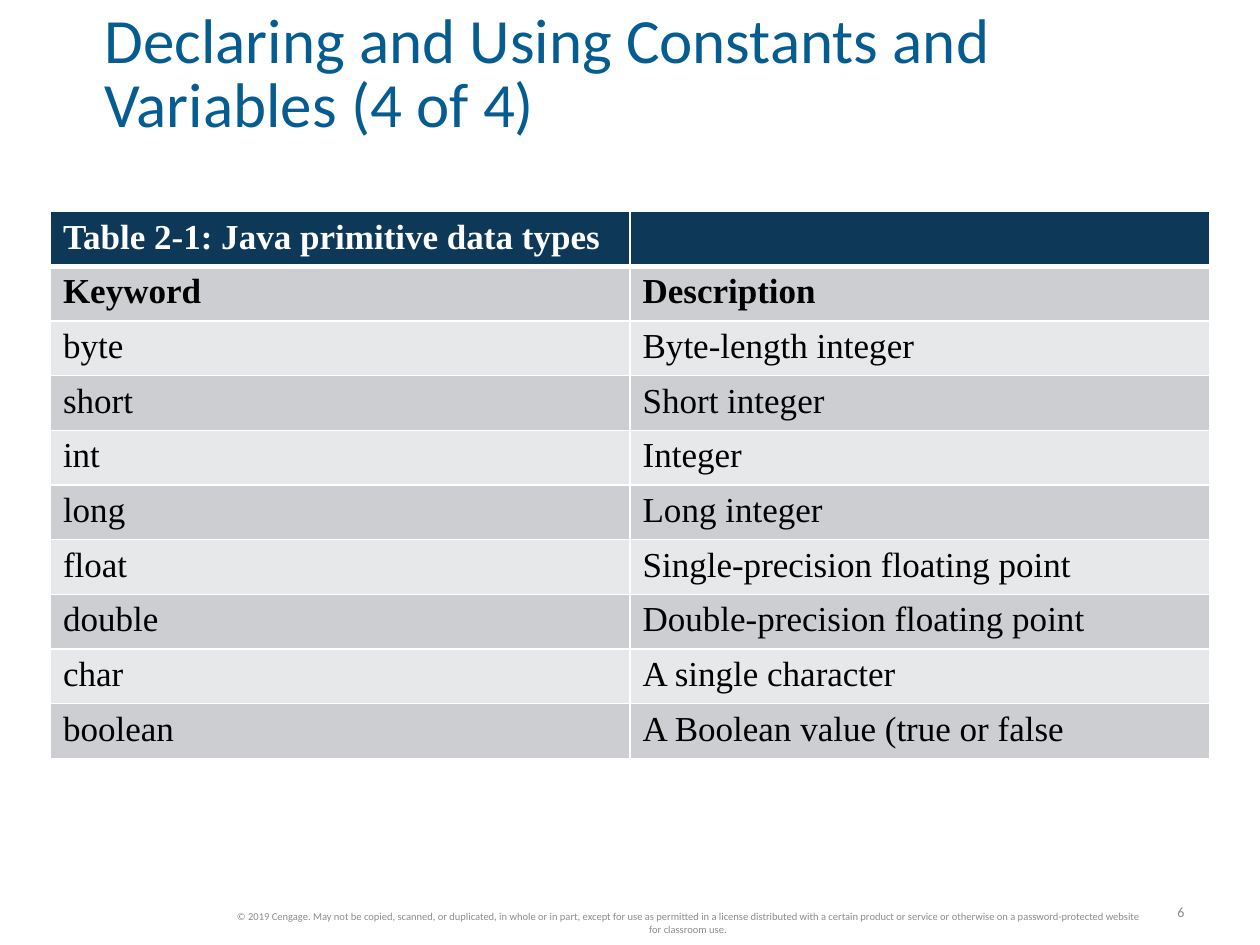
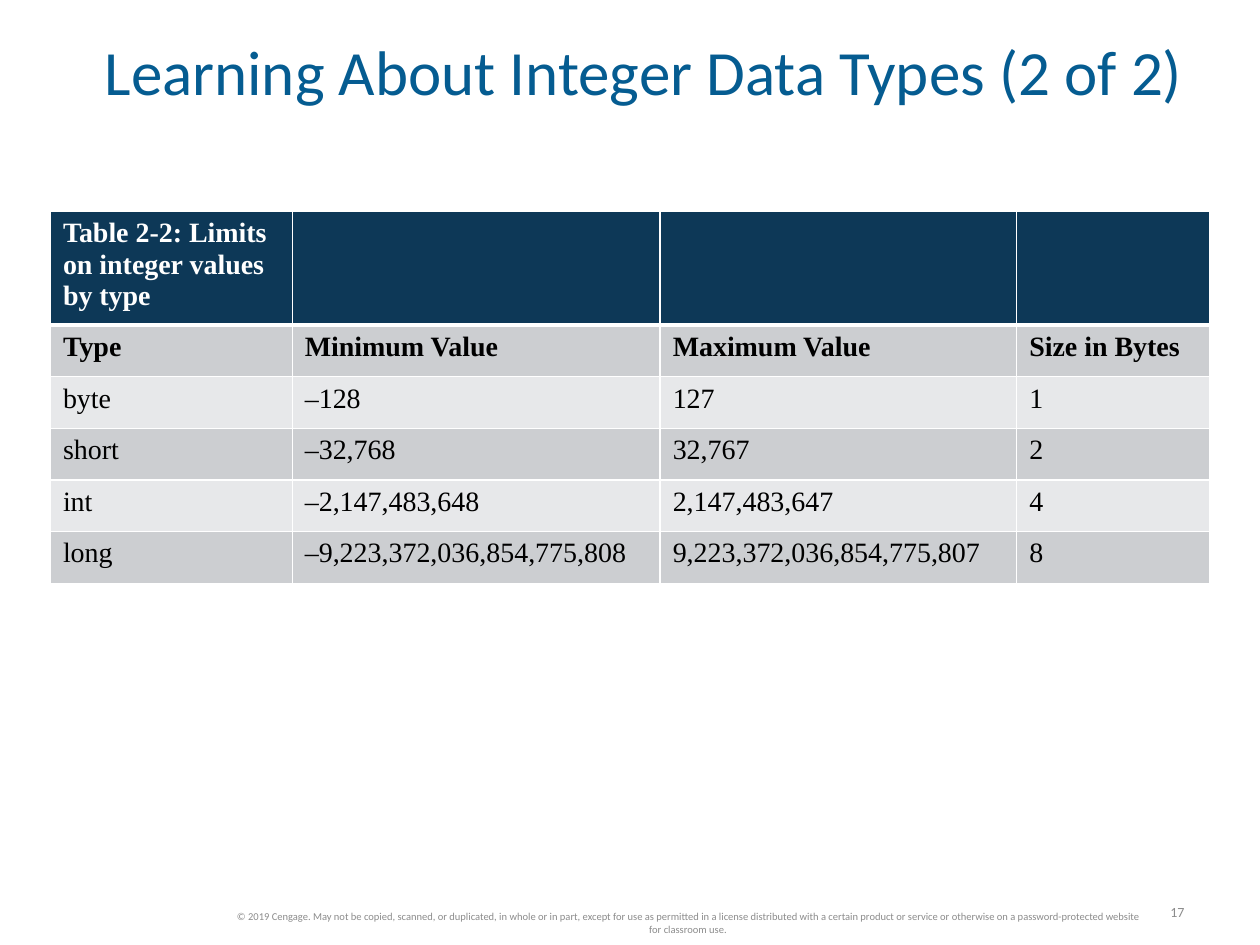
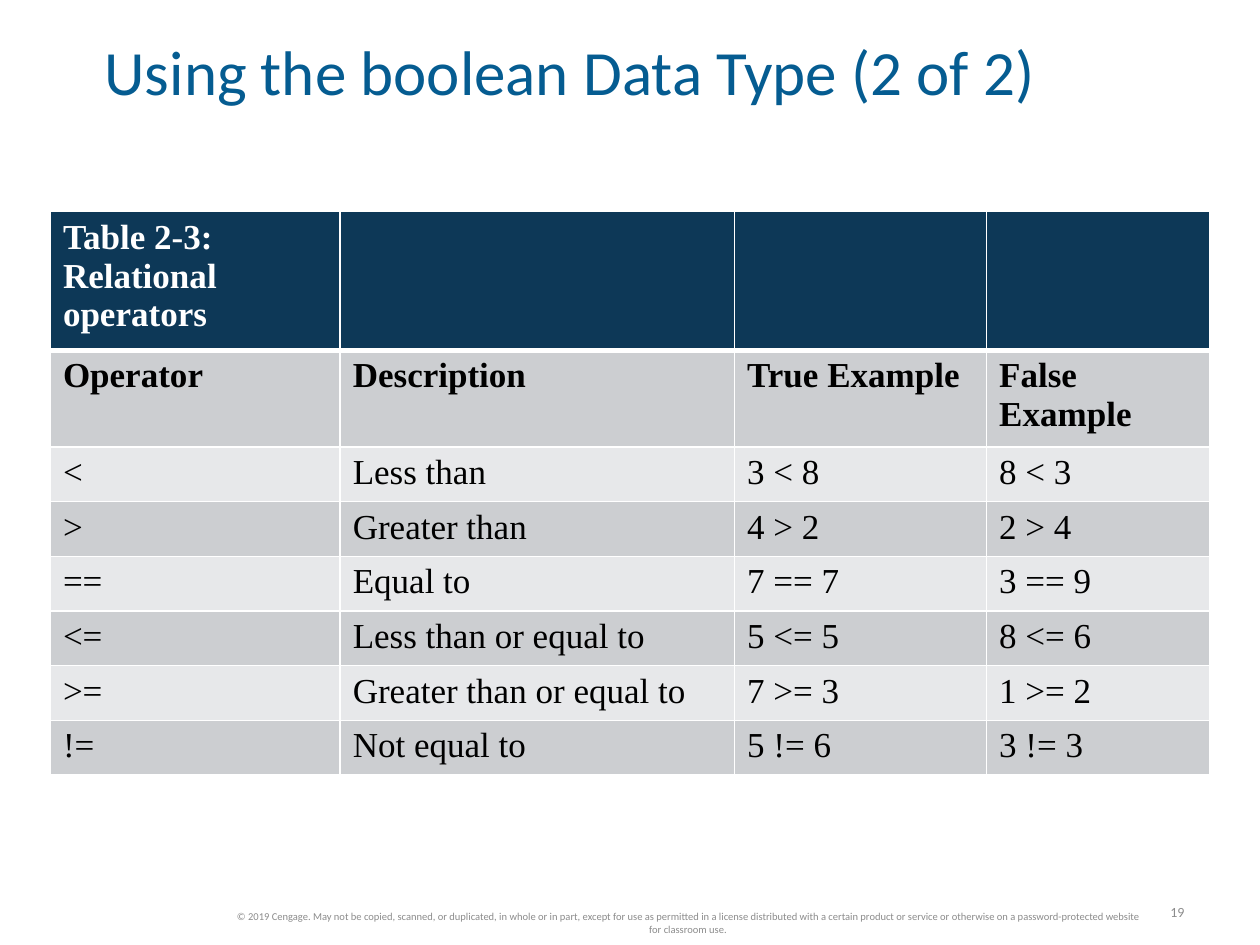
import pptx
import pptx.util
import pptx.dml.color
import pptx.enum.text
import pptx.oxml
import pptx.oxml.ns
from pptx.util import Inches

# Content
COPYRIGHT = (
    "© 2019 Cengage. May not be copied, scanned, or duplicated, in whole or in part, "
    "except for use as permitted in a license distributed with a certain product or "
    "service or otherwise on a password-protected website for classroom use."
)
# header_lines: lines that the caption and the column heads take up
PAGES = [
    {
        "title": "Declaring and Using Constants and Variables (4 of 4)",
        "number": "6",
        "size": 20,
        "columns": [4.6, 4.6],
        "header_lines": [1, 1],
        "caption": "Table 2-1: Java primitive data types",
        "rows": [
            ("Keyword", "Description"),
            ("byte", "Byte-length integer"),
            ("short", "Short integer"),
            ("int", "Integer"),
            ("long", "Long integer"),
            ("float", "Single-precision floating point"),
            ("double", "Double-precision floating point"),
            ("char", "A single character"),
            ("boolean", "A Boolean value (true or false"),
        ],
    },
    {
        "title": "Learning About Integer Data Types (2 of 2)",
        "number": "17",
        "size": 16,
        "columns": [1.92, 2.92, 2.83, 1.53],
        "header_lines": [3, 1],
        "caption": "Table 2-2: Limits on integer values by type",
        "rows": [
            ("Type", "Minimum Value", "Maximum Value", "Size in Bytes"),
            ("byte", "–128", "127", "1"),
            ("short", "–32,768", "32,767", "2"),
            ("int", "–2,147,483,648", "2,147,483,647", "4"),
            ("long", "–9,223,372,036,854,775,808", "9,223,372,036,854,775,807", "8"),
        ],
    },
    {
        "title": "Using the boolean Data Type (2 of 2)",
        "number": "19",
        "size": 20,
        "columns": [2.3, 3.13, 2, 1.77],
        "header_lines": [3, 2],
        "caption": "Table 2-3: Relational operators",
        "rows": [
            ("Operator", "Description", "True Example", "False Example"),
            ("<", "Less than", "3 < 8", "8 < 3"),
            (">", "Greater than", "4 > 2", "2 > 4"),
            ("==", "Equal to", "7 == 7", "3 == 9"),
            ("<=", "Less than or equal to", "5 <= 5", "8 <= 6"),
            (">=", "Greater than or equal to", "7 >= 3", "1 >= 2"),
            ("!=", "Not equal to", "5 != 6", "3 != 3"),
        ],
    },
]

# Shared style
RGBColor = pptx.dml.color.RGBColor
TITLE_BLUE = RGBColor(0x05, 0x5C, 0x91)
FOOTER_GRAY = RGBColor(0x8C, 0x8C, 0x8C)
HEADER_NAVY = RGBColor(0x0D, 0x38, 0x57)
BAND_DARK = RGBColor(0xCC, 0xCE, 0xD1)
BAND_LIGHT = RGBColor(0xE7, 0xE8, 0xEA)
BLACK = RGBColor(0, 0, 0)
WHITE = RGBColor(0xFF, 0xFF, 0xFF)
ALIGN = pptx.enum.text.PP_ALIGN
MIDDLE = pptx.enum.text.MSO_ANCHOR.MIDDLE
MIN_ROW = 0.41
CELL_PADDING = 0.1


def write(frame, text, size, color, font="Calibri", bold=False,
          align=ALIGN.LEFT, spacing=None):
    para = frame.paragraphs[0]
    para.alignment = align
    para.line_spacing = spacing
    para.font.size = pptx.util.Pt(size)
    if text:
        span = para.add_run()
        span.text = text
        span.font.name = font
        span.font.size = pptx.util.Pt(size)
        span.font.bold = bold
        span.font.color.rgb = color


def add_text(page, place, text, size, color, inset=0.1, **style):
    box = page.shapes.add_textbox(*map(Inches, place))
    frame = box.text_frame
    frame.word_wrap = True
    frame.vertical_anchor = MIDDLE
    frame.margin_left = frame.margin_right = Inches(inset)
    frame.margin_top = frame.margin_bottom = Inches(inset / 2)
    write(frame, text, size, color, **style)


def set_borders(cell, **widths):
    properties = cell._tc.get_or_add_tcPr()
    for side in "LRTB":
        width = pptx.util.Pt(widths.get(side, 1))
        properties.append(pptx.oxml.parse_xml(
            f'<a:ln{side} {pptx.oxml.ns.nsdecls("a")} w="{width}"><a:solidFill>'
            f'<a:srgbClr val="{WHITE}"/></a:solidFill></a:ln{side}>'))


def add_data_table(page, content):
    columns, size = content["columns"], content["size"]
    rows = [(content["caption"],) + ("",) * (len(columns) - 1)] + content["rows"]
    lines = content["header_lines"] + [1] * (len(rows) - 2)
    heights = [max(MIN_ROW, CELL_PADDING + count * size / 60) for count in lines]
    table = page.shapes.add_table(
        len(rows), len(columns), Inches(0.4), Inches(1.68),
        Inches(sum(columns)), Inches(sum(heights))).table
    for column, width in zip(table.columns, columns):
        column.width = Inches(width)
    for index, (values, height) in enumerate(zip(rows, heights)):
        table.rows[index].height = Inches(height)
        # Caption row, then alternating bands
        if index == 0:
            fill, color, borders = HEADER_NAVY, WHITE, {"B": 3}
        else:
            fill = BAND_DARK if index % 2 else BAND_LIGHT
            color, borders = BLACK, {"T": 3} if index == 1 else {}
        for position, value in enumerate(values):
            cell = table.cell(index, position)
            set_borders(cell, **borders)
            cell.fill.solid()
            cell.fill.fore_color.rgb = fill
            write(cell.text_frame, value, size, color,
                  font="Times New Roman", bold=index < 2)


def main():
    deck = pptx.Presentation()
    deck.slide_width, deck.slide_height = Inches(10), Inches(7.5)
    for content in PAGES:
        page = deck.slides.add_slide(deck.slide_layouts[6])
        add_text(page, (9.16, 7.12, 0.34, 0.24), content["number"], 8,
                 FOOTER_GRAY, align=ALIGN.RIGHT)
        add_data_table(page, content)
        add_text(page, (0.83, 0.35, 8.78, 0.51), content["title"], 36,
                 TITLE_BLUE, inset=0, spacing=0.85)
        add_text(page, (1.75, 7.19, 7.42, 0.27), COPYRIGHT, 6,
                 FOOTER_GRAY, align=ALIGN.CENTER)
    deck.save("out.pptx")


if __name__ == "__main__":
    main()
